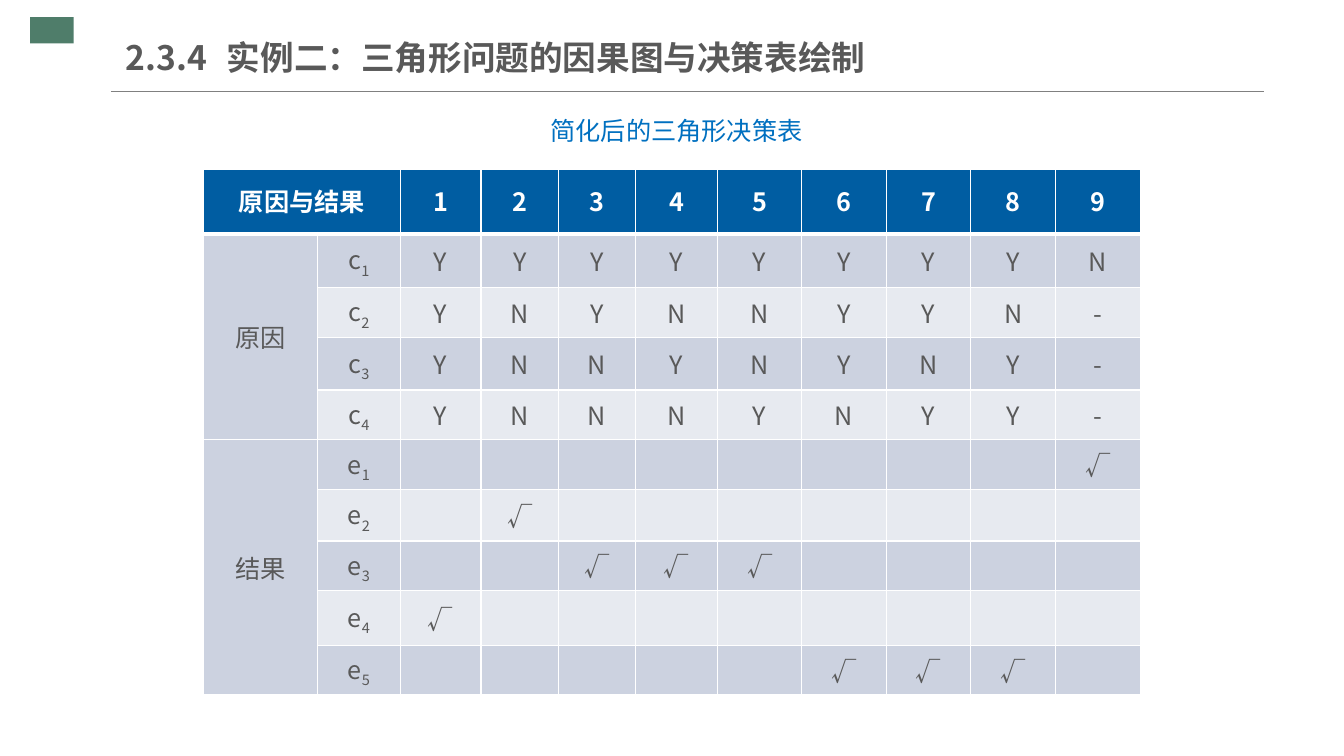
from lxml.etree import SubElement
from pptx import Presentation
from pptx.dml.color import RGBColor
from pptx.enum.shapes import MSO_CONNECTOR, MSO_SHAPE
from pptx.enum.text import MSO_ANCHOR, PP_ALIGN
from pptx.oxml import parse_xml
from pptx.oxml.ns import nsdecls, qn
from pptx.util import Inches, Pt

# Content
TITLE = "2.3.4\t实例二：三角形问题的因果图与决策表绘制"
CAPTION = "简化后的三角形决策表"
CORNER = "原因与结果"
GROUPS = [("原因", "c", 4), ("结果", "e", 5)]
# One string per row, one character per rule; a space is an empty cell
VALUES = [
    "YYYYYYYYN",
    "YNYNNYYN-",
    "YNNYNYNY-",
    "YNNNYNYY-",
    "        √",
    " √       ",
    "  √√√    ",
    "√        ",
    "     √√√ ",
]

# Layout and style
COLS = [1.13, 0.82, 0.8, 0.77, 0.76, 0.82, 0.83, 0.84, 0.84, 0.84, 0.84]
ROWS = [0.64, 0.53, 0.5, 0.52, 0.49, 0.49, 0.51, 0.49, 0.54, 0.49]
TABLE_LEFT, TABLE_TOP = 2.02, 1.68
FONT = "Noto Sans CJK SC"
GREY, WHITE, BLUE, CAPTION_BLUE = "595959", "FFFFFF", "005DA2", "0070C0"
BANDS = ["CCD2E0", "E7EAF0"]


def rgb(value):
    return RGBColor.from_string(value)


def add_run(p, text, size=18, color=GREY, bold=False, subscript=False):
    r = p.add_run()
    r.text = text
    r.font.size, r.font.bold, r.font.name = Pt(size), bold, FONT
    r.font.color.rgb = rgb(color)
    rpr = r.font._element
    SubElement(rpr, qn("a:ea")).set("typeface", FONT)
    if subscript:
        rpr.set("baseline", "-25000")


def add_text(slide, box, text, margin_x, anchor, align, spacing, **style):
    tf = slide.shapes.add_textbox(*map(Inches, box)).text_frame
    tf.word_wrap = True
    tf.vertical_anchor = anchor
    tf.margin_left = tf.margin_right = Inches(margin_x)
    tf.margin_top = tf.margin_bottom = Inches(0.07)
    p = tf.paragraphs[0]
    p.alignment, p.line_spacing = align, spacing
    add_run(p, text, **style)


def style_cell(cell, fill, top=1, bottom=1):
    cell.fill.solid()
    cell.fill.fore_color.rgb = rgb(fill)
    cell.vertical_anchor = MSO_ANCHOR.MIDDLE
    tcpr = cell._tc.get_or_add_tcPr()
    for i, (side, width) in enumerate(zip("LRTB", (1, 1, top, bottom))):
        tcpr.insert(i, parse_xml(
            f'<a:ln{side} {nsdecls("a")} w="{Pt(width)}"><a:solidFill>'
            f'<a:srgbClr val="{WHITE}"/></a:solidFill></a:ln{side}>'))


def fill_cell(cell, text, **style):
    p = cell.text_frame.paragraphs[0]
    p.alignment = PP_ALIGN.CENTER
    add_run(p, text, **style)
    return p


prs = Presentation()
prs.slide_width, prs.slide_height = Inches(13.33), Inches(7.5)
slide = prs.slides.add_slide(prs.slide_layouts[6])

# Corner block and title rule
sp = slide.shapes.add_shape(MSO_SHAPE.RECTANGLE, *map(Inches, (0.3, 0.17, 0.43, 0.26)))
sp.shadow.inherit = False
sp.fill.solid()
sp.fill.fore_color.rgb = rgb("4F7D6A")
sp.line.fill.background()
rule = slide.shapes.add_connector(
    MSO_CONNECTOR.STRAIGHT, *map(Inches, (1.1, 0.91, 12.54, 0.91)))
rule.line.color.rgb = rgb("808080")
rule.line.width = Pt(0.75)
SubElement(rule._element.spPr, qn("a:effectLst"))

# Decision table grid
table = slide.shapes.add_table(
    len(ROWS), len(COLS), Inches(TABLE_LEFT), Inches(TABLE_TOP),
    Inches(sum(COLS)), Inches(sum(ROWS))).table
for column, width in zip(table.columns, COLS):
    column.width = Inches(width)
for row, height in zip(table.rows, ROWS):
    row.height = Inches(height)
for i in range(len(ROWS)):
    for j in range(len(COLS)):
        if i == 0:
            style_cell(table.cell(i, j), BLUE, bottom=3)
        else:
            band = BANDS[0] if j == 0 else BANDS[(i - 1) % 2]
            style_cell(table.cell(i, j), band, top=3 if i == 1 else 1)

# Header row
table.cell(0, 0).merge(table.cell(0, 1))
headers = [(0, CORNER)] + [(n + 1, str(n)) for n in range(1, len(COLS) - 1)]
for j, text in headers:
    p = fill_cell(table.cell(0, j), text, color=WHITE, bold=True)
    p.line_spacing = 0.9

# Group names and numbered conditions or effects
first = 1
for name, letter, count in GROUPS:
    table.cell(first, 0).merge(table.cell(first + count - 1, 0))
    fill_cell(table.cell(first, 0), name)
    for n in range(count):
        p = fill_cell(table.cell(first + n, 1), letter)
        add_run(p, str(n + 1), subscript=True)
    first += count

# Rule values
for i, values in enumerate(VALUES, 1):
    for j, value in enumerate(values, 2):
        if value != " ":
            cell = table.cell(i, j)
            cell.margin_left = cell.margin_right = Inches(0.07)
            cell.margin_top = cell.margin_bottom = 0
            fill_cell(cell, value)

# Caption and title
add_text(slide, (5.33, 0.92, 3.09, 0.73), CAPTION, 0.13, MSO_ANCHOR.TOP,
         PP_ALIGN.JUSTIFY, 1.5, color=CAPTION_BLUE)
add_text(slide, (1.25, 0.29, 7.67, 0.55), TITLE, 0, MSO_ANCHOR.MIDDLE,
         PP_ALIGN.LEFT, 1.0, size=24, bold=True)

prs.save("out.pptx")
